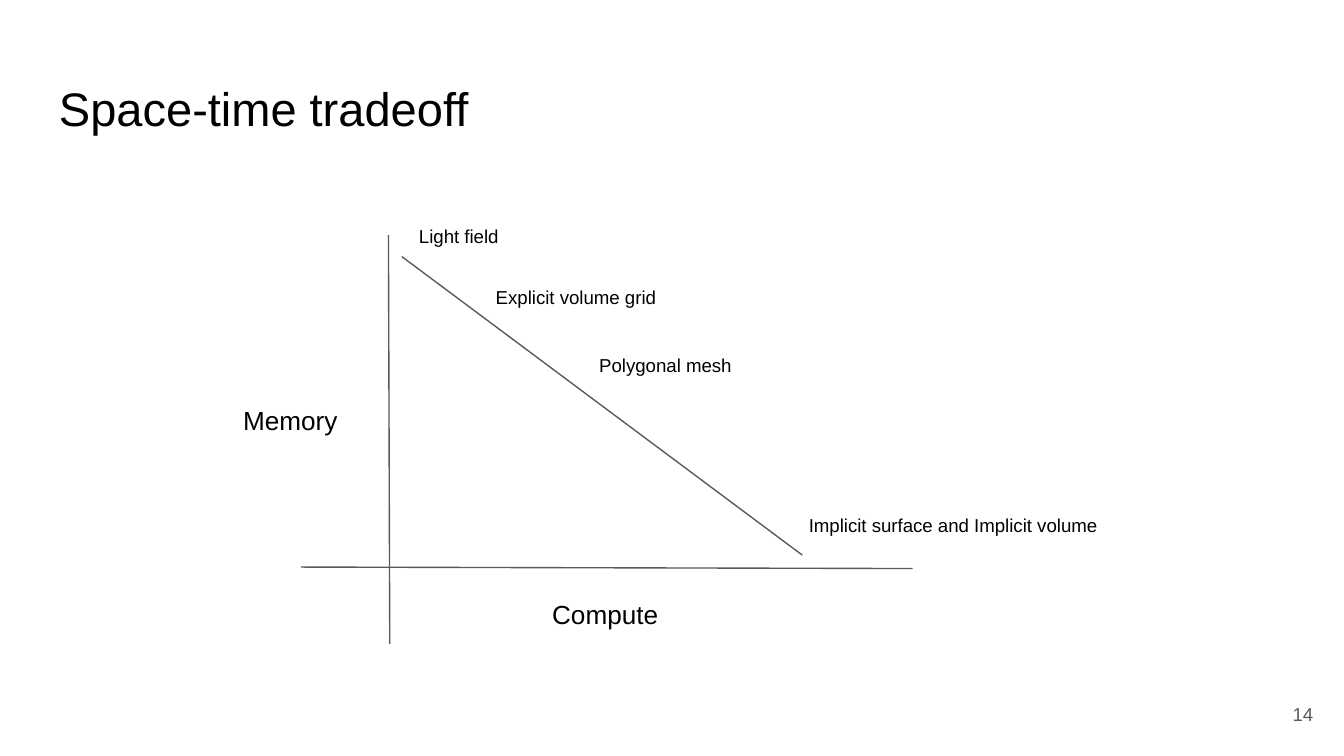
from dataclasses import dataclass

from lxml import etree
from pptx import Presentation
from pptx import util as u
from pptx.dml.color import RGBColor
from pptx.enum import shapes, text
from pptx.oxml.ns import qn
from pptx.slide import Slide


@dataclass(frozen=True)
class Theme:
    font: str = "Arial"
    ink: str = "000000"
    muted: str = "595959"
    title_size: float = 25.2
    axis_size: float = 14
    label_size: float = 10
    line_width: float = 0.75
    inset: float = 7.2


THEME = Theme()


@dataclass(frozen=True)
class Label:
    wording: str
    left: float
    top: float
    width: float
    height: float = 26.6
    size: float = THEME.label_size
    color: str = THEME.ink
    align: text.PP_ALIGN = text.PP_ALIGN.LEFT
    anchor: text.MSO_ANCHOR = text.MSO_ANCHOR.TOP


@dataclass(frozen=True)
class Line:
    x1: float
    y1: float
    x2: float
    y2: float


TITLE = Label("Space-time tradeoff", 24.5, 35.3, 671, 45.4, THEME.title_size)
PAGE_NUMBER = Label("14", 667.4, 367.2, 43.2, 31, color=THEME.muted,
                    align=text.PP_ALIGN.RIGHT, anchor=text.MSO_ANCHOR.MIDDLE)
AXIS_NAMES = [
    Label("Compute", 288.7, 313.2, 72.4, 31.7, THEME.axis_size),
    Label("Memory", 123.1, 209.5, 68.4, 31.7, THEME.axis_size),
]
REPRESENTATIONS = [
    Label("Light field", 217.4, 114.5, 61.9),
    Label("Explicit volume grid", 258.5, 146.9, 102.2),
    Label("Polygonal mesh", 313.9, 183.6, 92.9),
    Label("Implicit surface and Implicit volume", 426.2, 269.3, 181.4),
]
MEMORY_AXIS = Line(208.1, 126, 208.8, 344.9)
COMPUTE_AXIS = Line(161.3, 303.8, 488.9, 304.6)
TRADEOFF = Line(215.3, 137.5, 429.8, 297.4)


def draw_label(slide: Slide, label: Label) -> None:
    box = slide.shapes.add_textbox(u.Pt(label.left), u.Pt(label.top),
                                   u.Pt(label.width), u.Pt(label.height))
    frame = box.text_frame
    frame.word_wrap = True
    frame.vertical_anchor = label.anchor
    frame.margin_left = frame.margin_right = u.Pt(THEME.inset)
    frame.margin_top = frame.margin_bottom = u.Pt(THEME.inset)
    frame.text = label.wording
    paragraph = frame.paragraphs[0]
    paragraph.alignment = label.align
    font = paragraph.runs[0].font
    font.name = THEME.font
    font.size = u.Pt(label.size)
    font.color.rgb = RGBColor.from_string(label.color)


def draw_line(slide: Slide, line: Line) -> None:
    connector = slide.shapes.add_connector(
        shapes.MSO_CONNECTOR.STRAIGHT,
        u.Pt(line.x1), u.Pt(line.y1), u.Pt(line.x2), u.Pt(line.y2))
    connector.line.color.rgb = RGBColor.from_string(THEME.muted)
    connector.line.width = u.Pt(THEME.line_width)
    etree.SubElement(connector._element.spPr, qn("a:effectLst"))


def main() -> None:
    deck = Presentation()
    deck.slide_width, deck.slide_height = u.Pt(720), u.Pt(405)
    slide = deck.slides.add_slide(deck.slide_layouts[6])
    for line in (MEMORY_AXIS, COMPUTE_AXIS, TRADEOFF):
        draw_line(slide, line)
    for label in (TITLE, *AXIS_NAMES, *REPRESENTATIONS, PAGE_NUMBER):
        draw_label(slide, label)
    deck.save("out.pptx")


if __name__ == "__main__":
    main()
